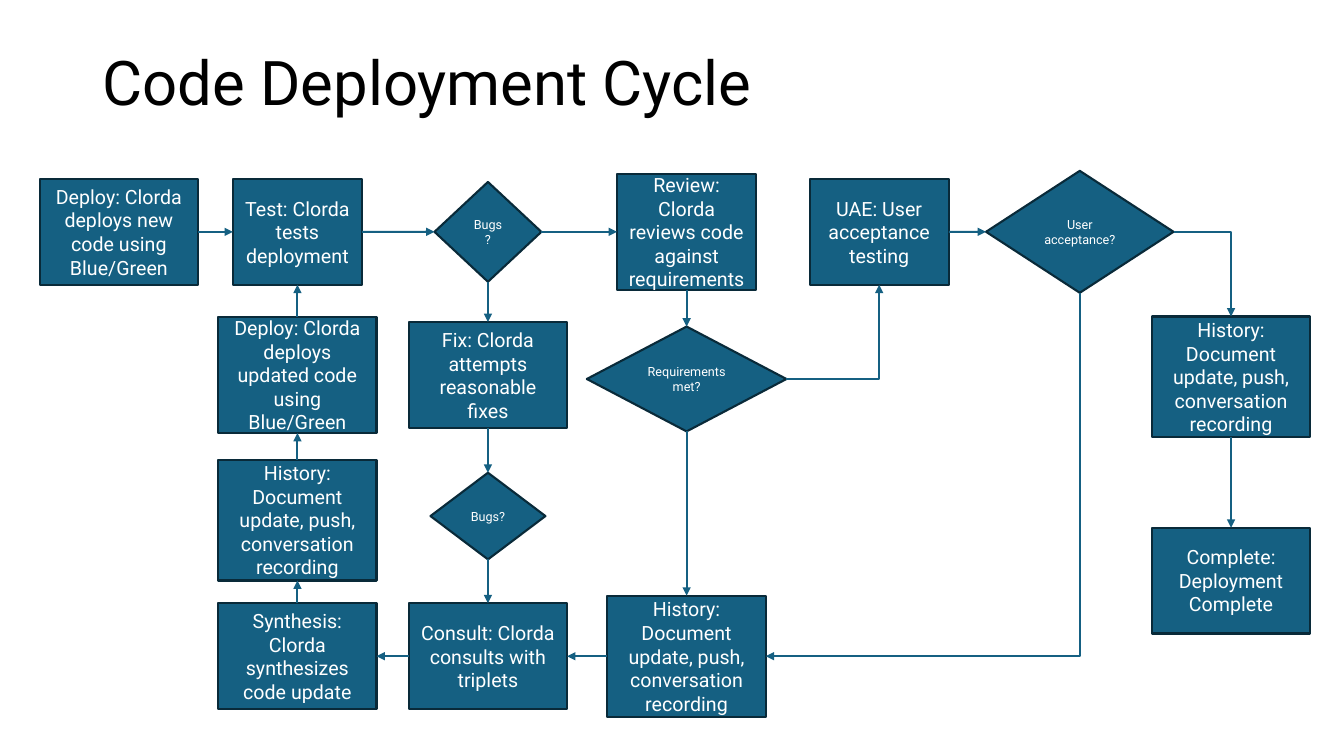
from dataclasses import dataclass

from lxml import etree
from pptx import Presentation
from pptx.dml.color import RGBColor
from pptx.enum.shapes import MSO_CONNECTOR, MSO_SHAPE
from pptx.enum.text import MSO_ANCHOR, PP_ALIGN
from pptx.oxml.ns import qn
from pptx.util import Inches, Pt

BOX, DIAMOND = MSO_SHAPE.RECTANGLE, MSO_SHAPE.DIAMOND
STRAIGHT, ELBOW = MSO_CONNECTOR.STRAIGHT, MSO_CONNECTOR.ELBOW
MIDDLE = MSO_ANCHOR.MIDDLE
LEFT_ALIGN, CENTER = PP_ALIGN.LEFT, PP_ALIGN.CENTER
TOP, LEFT, BOTTOM, RIGHT = range(4)


@dataclass(frozen=True)
class Theme:
    """Colours, font and sizes of the slide."""
    font: str = "Roboto"
    black: RGBColor = RGBColor(0x00, 0x00, 0x00)
    white: RGBColor = RGBColor(0xFF, 0xFF, 0xFF)
    blue: RGBColor = RGBColor(0x15, 0x60, 0x82)
    navy: RGBColor = RGBColor(0x09, 0x2A, 0x39)
    title_size: int = 44
    step_size: int = 14
    decision_size: int = 9
    line_width: float = 1.5


THEME = Theme()
HISTORY = "History: Document update, push, conversation recording"
COLUMNS = {"start": 1.18, "test": 2.95, "fix": 4.84, "review": 6.81,
           "accept": 8.72, "decide": 10.71, "finish": 12.21}
TOP_ROW, BOTTOM_ROW = 2.3, 6.51

STEPS = {
    "deploy": (BOX, "start", TOP_ROW, 1.57, 1.05, "Deploy: Clorda deploys new code using Blue/Green"),
    "test": (BOX, "test", TOP_ROW, 1.28, 1.05, "Test: Clorda tests deployment"),
    "bugs": (DIAMOND, "fix", TOP_ROW, 1.06, 0.99, "Bugs?"),
    "review": (BOX, "review", TOP_ROW, 1.38, 1.15, "Review: Clorda reviews code against requirements"),
    "acceptance": (BOX, "accept", TOP_ROW, 1.38, 1.05, "UAE: User acceptance testing"),
    "accepted": (DIAMOND, "decide", TOP_ROW, 1.86, 1.21, "User acceptance?"),
    "redeploy": (BOX, "test", 3.72, 1.57, 1.15, "Deploy: Clorda deploys updated code using Blue/Green"),
    "fix": (BOX, "fix", 3.72, 1.57, 1.05, "Fix: Clorda attempts reasonable fixes"),
    "requirements": (DIAMOND, "review", 3.76, 1.98, 1.04, "Requirements met?"),
    "final history": (BOX, "finish", 3.74, 1.57, 1.2, HISTORY),
    "update history": (BOX, "test", 5.16, 1.57, 1.2, HISTORY),
    "bugs again": (DIAMOND, "fix", 5.12, 1.14, 0.86, "Bugs?"),
    "complete": (BOX, "finish", 5.76, 1.57, 1.05, "Complete: Deployment Complete"),
    "synthesis": (BOX, "test", BOTTOM_ROW, 1.57, 1.05, "Synthesis: Clorda synthesizes code update"),
    "consult": (BOX, "fix", BOTTOM_ROW, 1.57, 1.05, "Consult: Clorda consults with triplets"),
    "review history": (BOX, "review", BOTTOM_ROW, 1.57, 1.2, HISTORY),
}

ARROWS = [
    ("deploy", RIGHT, "test", LEFT),
    ("test", RIGHT, "bugs", LEFT),
    ("bugs", RIGHT, "review", LEFT),
    ("bugs", BOTTOM, "fix", TOP),
    ("fix", BOTTOM, "bugs again", TOP),
    ("bugs again", BOTTOM, "consult", TOP),
    ("review", BOTTOM, "requirements", TOP),
    ("requirements", RIGHT, "acceptance", BOTTOM),
    ("requirements", BOTTOM, "review history", TOP),
    ("acceptance", RIGHT, "accepted", LEFT),
    ("accepted", RIGHT, "final history", TOP),
    ("accepted", BOTTOM, "review history", RIGHT),
    ("final history", BOTTOM, "complete", TOP),
    ("review history", LEFT, "consult", RIGHT),
    ("consult", LEFT, "synthesis", RIGHT),
    ("synthesis", TOP, "update history", BOTTOM),
    ("update history", TOP, "redeploy", BOTTOM),
    ("redeploy", TOP, "test", BOTTOM),
]


def write(frame, text, size, color, align):
    """Write one styled run, vertically centred in the frame."""
    frame.word_wrap = True
    frame.vertical_anchor = MIDDLE
    para = frame.paragraphs[0]
    para.alignment = align
    span = para.add_run()
    span.text = text
    span.font.name = THEME.font
    span.font.size = Pt(size)
    span.font.color.rgb = color
    return para


def add_title(page, left, top, width, height):
    """Place the slide title in the given box."""
    box = page.shapes.add_textbox(Inches(left), Inches(top), Inches(width), Inches(height))
    para = write(box.text_frame, "Code Deployment Cycle", THEME.title_size, THEME.black, LEFT_ALIGN)
    para.line_spacing = 0.9


def add_step(page, kind, center_x, center_y, width, height, text):
    """Place one flowchart step around its centre."""
    step = page.shapes.add_shape(kind, Inches(center_x - width / 2), Inches(center_y - height / 2),
                                 Inches(width), Inches(height))
    step.shadow.inherit = False
    step.fill.solid()
    step.fill.fore_color.rgb = THEME.blue
    step.line.color.rgb = THEME.navy
    step.line.width = Pt(THEME.line_width)
    size = THEME.decision_size if kind == DIAMOND else THEME.step_size
    write(step.text_frame, text, size, THEME.white, CENTER)
    return step


def bend_once(arrow, vertical_first):
    """Give an elbow arrow a single corner."""
    properties = arrow._element.spPr
    properties.find(qn("a:prstGeom")).set("prst", "bentConnector2")
    if vertical_first:
        center_x, center_y = arrow.left + arrow.width // 2, arrow.top + arrow.height // 2
        width, height = arrow.height, arrow.width
        arrow.left, arrow.top = center_x - width // 2, center_y - height // 2
        arrow.width, arrow.height = width, height
        transform = properties.find(qn("a:xfrm"))
        transform.attrib.pop("flipH", None)
        transform.set("rot", "5400000")


def add_arrow(page, source, source_side, target, target_side):
    """Join two steps with an arrow, bent when their sides are at right angles."""
    bent = source_side % 2 != target_side % 2
    arrow = page.shapes.add_connector(ELBOW if bent else STRAIGHT, 0, 0, 0, 0)
    arrow.begin_connect(source, source_side)
    arrow.end_connect(target, target_side)
    if bent:
        bend_once(arrow, source_side == BOTTOM)
    arrow.line.color.rgb = THEME.blue
    arrow.line.width = Pt(THEME.line_width)
    etree.SubElement(arrow.line._get_or_add_ln(), qn("a:tailEnd"), type="triangle")
    etree.SubElement(arrow._element.spPr, qn("a:effectLst"))


def add_flowchart(page):
    """Place every step on its column and join them."""
    steps = {name: add_step(page, kind, COLUMNS[column], center_y, width, height, text)
             for name, (kind, column, center_y, width, height, text) in STEPS.items()}
    for source, source_side, target, target_side in ARROWS:
        add_arrow(page, steps[source], source_side, steps[target], target_side)


def main():
    """Build the deck and save it."""
    deck = Presentation()
    deck.slide_width, deck.slide_height = Inches(13.33), Inches(7.5)
    page = deck.slides.add_slide(deck.slide_layouts[6])
    add_title(page, 0.92, 0.4, 11.5, 0.89)
    add_flowchart(page)
    deck.save("out.pptx")


if __name__ == "__main__":
    main()
